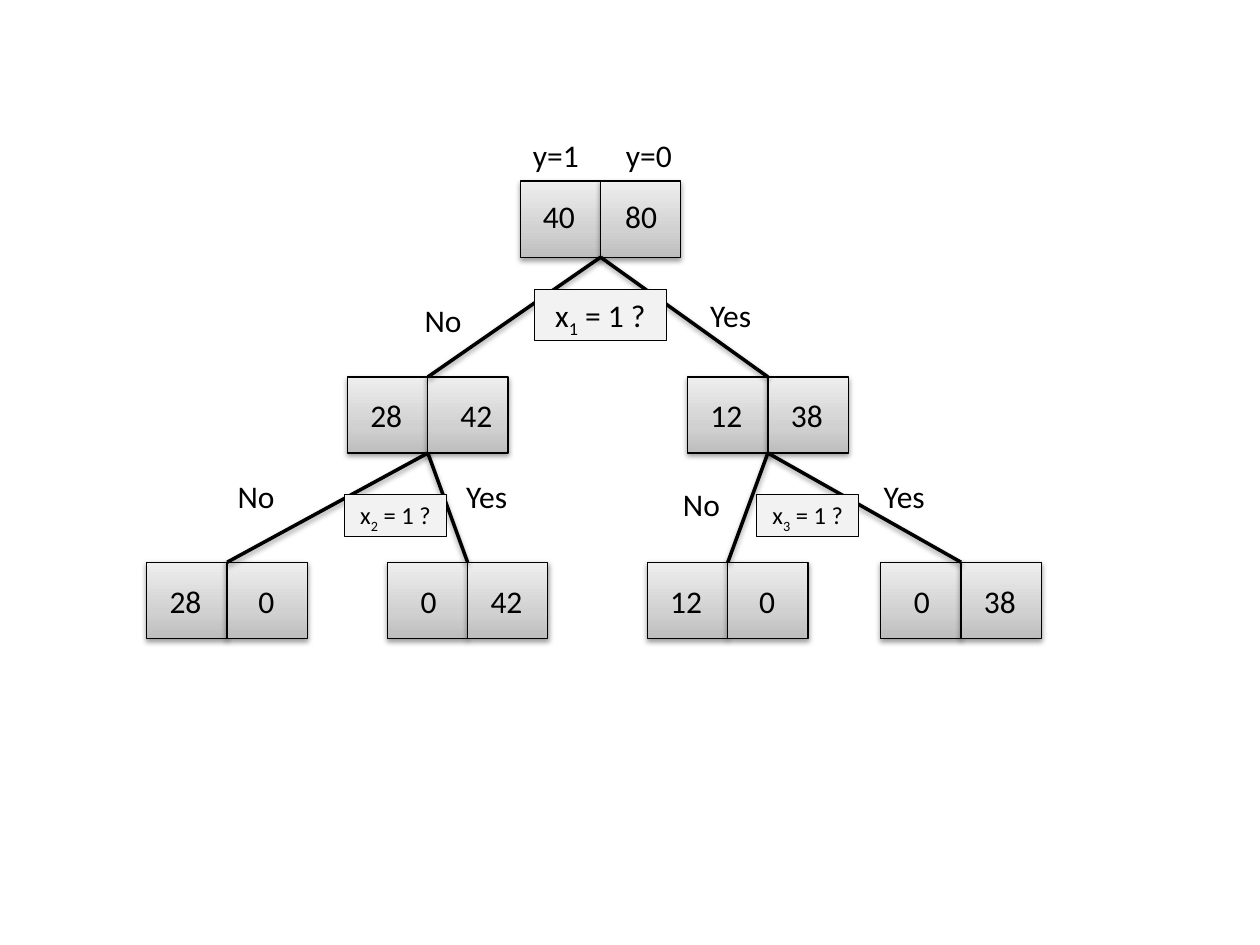
from lxml import etree
from pptx import Presentation
from pptx.dml.color import RGBColor
from pptx.enum import shapes, text
from pptx.oxml import parse_xml
from pptx.oxml.ns import qn
from pptx.util import Pt

NS = 'xmlns:a="http://schemas.openxmlformats.org/drawingml/2006/main"'
CELL_W, CELL_H = 45.9, 43.5
STOPS = [(0, "BDBDBD"), (35, "D1D1D1"), (100, "EEEEEE")]


def paint(fmt, color):
    fmt.solid()
    fmt.fore_color.rgb = RGBColor.from_string(color)


def shadow(effects):
    effects.append(parse_xml(
        f'<a:outerShdw {NS} blurRad="40000" dist="20000" dir="5400000" '
        'rotWithShape="0"><a:srgbClr val="000000"><a:alpha val="38000"/>'
        '</a:srgbClr></a:outerShdw>'))


def grade(shape):
    stops = "".join(
        f'<a:gs pos="{pos * 1000}"><a:srgbClr val="{color}"/></a:gs>'
        for pos, color in STOPS)
    shape.fill.background()
    props = shape._element.spPr
    props.replace(props.find(qn("a:noFill")), parse_xml(
        f'<a:gradFill {NS} rotWithShape="1"><a:gsLst>{stops}</a:gsLst>'
        '<a:lin ang="16200000" scaled="0"/></a:gradFill>'))


def box(slide, x, y, w, h):
    shape = slide.shapes.add_shape(
        shapes.MSO_SHAPE.RECTANGLE, Pt(x), Pt(y), Pt(w), Pt(h))
    shape.shadow.inherit = False
    paint(shape.line.fill, "000000")
    shape.line.width = Pt(0.75)
    return shape


def write(shape, runs, size=18, align=None):
    frame = shape.text_frame
    frame.word_wrap = True
    frame.vertical_anchor = text.MSO_ANCHOR.TOP
    para = frame.paragraphs[0]
    para.alignment = align
    para.font.name = "Calibri"
    para.font.size = Pt(size)
    paint(para.font.fill, "000000")
    for words, base in runs:
        run = para.add_run()
        run.text = words
        if base:
            run.font._element.set("baseline", str(base * 1000))


def label(slide, words, x, y, w=60):
    area = slide.shapes.add_textbox(Pt(x), Pt(y), Pt(w), Pt(29))
    write(area, [(words, 0)])


def cells(slide, mid, top):
    for x in (mid - CELL_W, mid):
        cell = box(slide, x, top, CELL_W, CELL_H)
        grade(cell)
        shadow(cell._element.spPr.find(qn("a:effectLst")))


def counts(slide, mid, top, left, right, drop, shift=0):
    label(slide, left, mid - (40 if len(left) > 1 else 34), top + drop, 34.5)
    label(slide, right, mid + (6 if len(right) > 1 else 10.8) + shift,
          top + drop, 34.5)


def edge(slide, start, end):
    line = slide.shapes.add_connector(
        shapes.MSO_CONNECTOR.STRAIGHT, Pt(start[0]), Pt(start[1] + CELL_H),
        Pt(end[0]), Pt(end[1]))
    paint(line.line.fill, "000000")
    line.line.width = Pt(2)
    shadow(etree.SubElement(line._element.spPr, qn("a:effectLst")))


def ask(slide, number, x, y, w, h, size):
    shape = box(slide, x, y, w, h)
    paint(shape.fill, "F2F2F2")
    write(shape, [("x", 0), (number, -25), (" = 1 ?", 0)], size,
          text.PP_ALIGN.CENTER)


def branch(slide, start, ends, query, no, yes):
    for end in ends:
        edge(slide, start, end)
    ask(slide, *query)
    label(slide, "No", *no)
    label(slide, "Yes", *yes)


def tree(slide):
    root = (343.2, 103.5)
    low, high = (244.5, 215.4), (438.8, 215.4)
    leaves = [(mid, 321.3) for mid in (129.8, 267.2, 415.9, 549.2)]
    nodes = [
        (root, "40", "80", 5.8, 1), (low, "28", "42", 7.2, 5.5),
        (high, "12", "38", 7.2, 0), (leaves[0], "28", "0", 8, 0),
        (leaves[1], "0", "42", 8, 0), (leaves[2], "12", "0", 8, 0),
        (leaves[3], "0", "38", 8, 0)]
    for spot, *_ in nodes:
        cells(slide, *spot)
    branch(slide, root, (low, high), ("1", 305.3, 165.4, 75.6, 29, 18),
           (235.5, 168.5), (398.7, 165.8))
    branch(slide, low, leaves[:2], ("2", 196.8, 282.4, 58.4, 24.3, 14),
           (128.7, 269.3), (259.3, 269.3))
    branch(slide, high, leaves[2:], ("3", 432.4, 282.4, 58.4, 24.3, 14),
           (383.2, 273.8), (497.9, 269.3))
    for spot, left, right, drop, shift in nodes:
        counts(slide, *spot, left, right, drop, shift)
    label(slide, "y=1", 297.4, 74.3)
    label(slide, "y=0", 350.6, 74.3)


deck = Presentation()
deck.slide_width, deck.slide_height = Pt(720), Pt(540)
tree(deck.slides.add_slide(deck.slide_layouts[6]))
deck.save("out.pptx")
